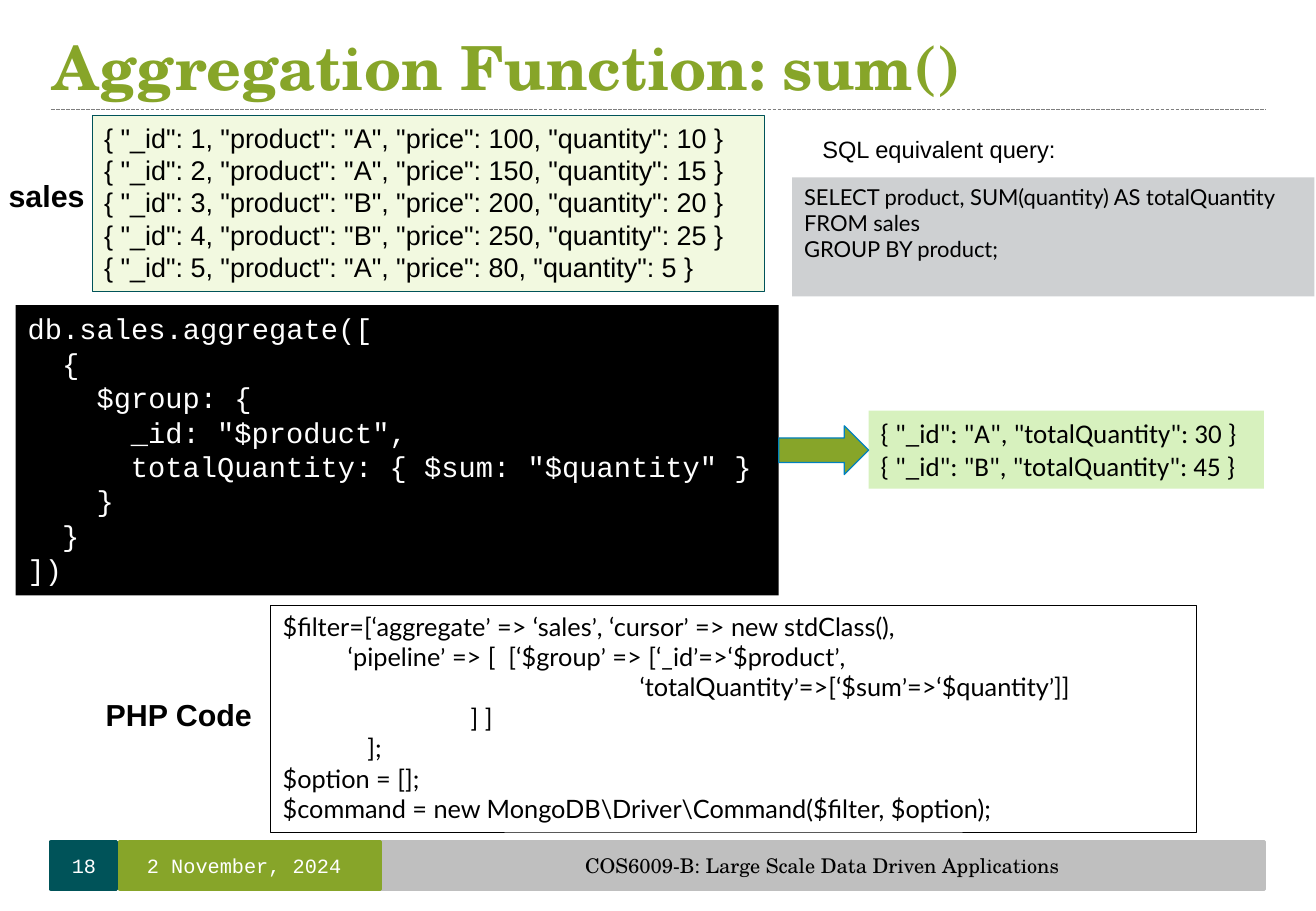
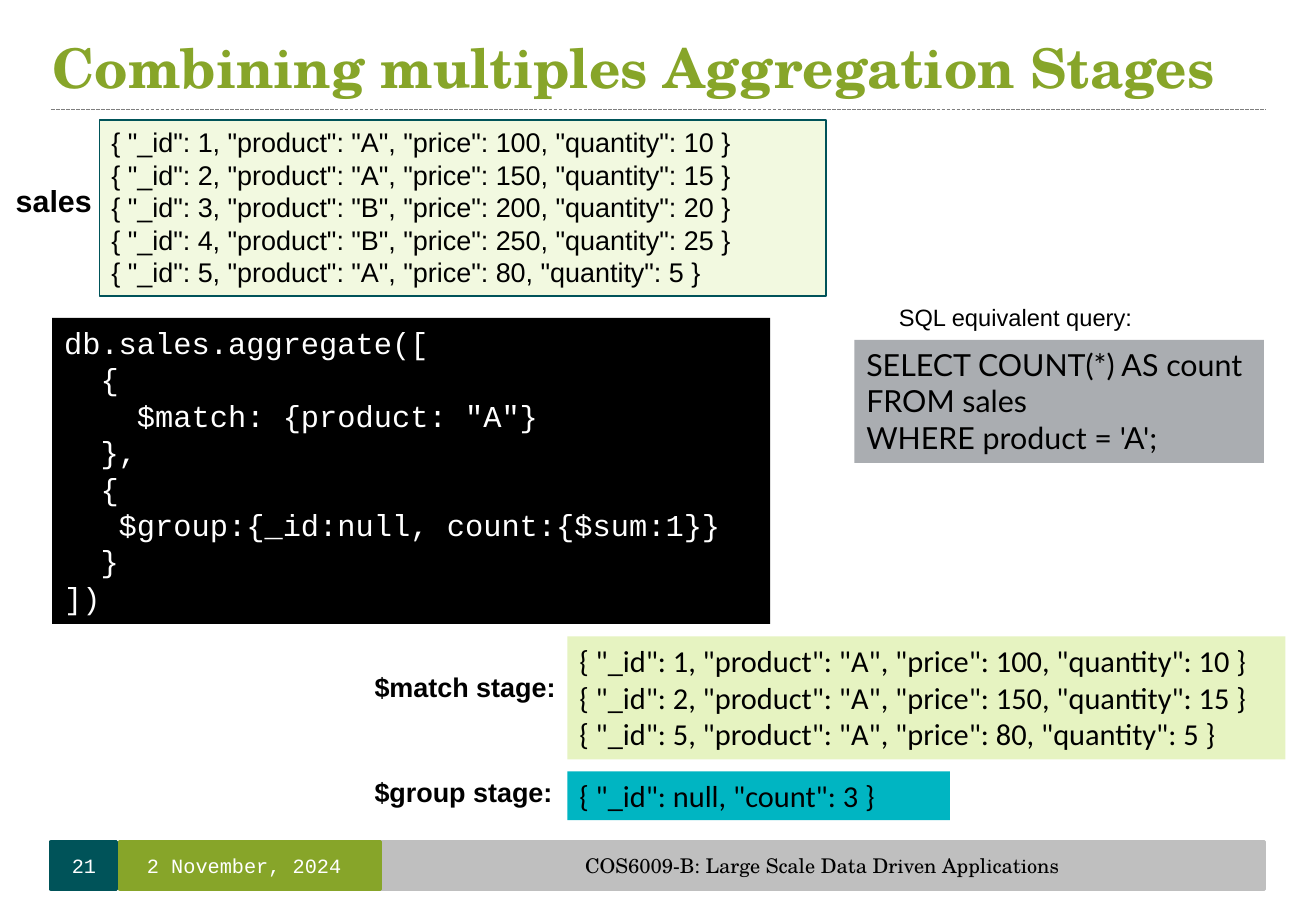
import pptx
import pptx.dml.color
import pptx.enum.dml
import pptx.enum.shapes
import pptx.enum.text
import pptx.oxml.ns
import pptx.util
from lxml import etree

Cm, Pt = pptx.util.Cm, pptx.util.Pt
SHAPE = pptx.enum.shapes.MSO_SHAPE
ANCHOR = pptx.enum.text.MSO_ANCHOR
ALIGN = pptx.enum.text.PP_ALIGN

HUES = {
    "green": "87A529", "teal": "005359", "grey": "BFBFBF", "rule": "7F7F7F",
    "black": "000000", "white": "FFFFFF", "cream": "F2F9E0", "mint": "D7F1BE",
    "lime": "E6F3C1", "cyan": "00B5C2", "blue": "0081BE",
    "silver": "CED0D2", "steel": "AAADB1",
}
SERIF, SANS, MONO = "TeX Gyre Schola", "Arial", "Courier New"

SALES = [
    '{ "_id": 1, "product": "A", "price": 100, "quantity": 10 }',
    '{ "_id": 2, "product": "A", "price": 150, "quantity": 15 }',
    '{ "_id": 3, "product": "B", "price": 200, "quantity": 20 }',
    '{ "_id": 4, "product": "B", "price": 250, "quantity": 25 }',
    '{ "_id": 5, "product": "A", "price": 80, "quantity": 5 }',
]


def hue(name):
    return pptx.dml.color.RGBColor.from_string(HUES[name])


def paint(shape, fill=None, line=None, width=0.75):
    """Set fill and outline; None leaves either one empty."""
    shape.shadow.inherit = False
    if fill:
        shape.fill.solid()
        shape.fill.fore_color.rgb = hue(fill)
    else:
        shape.fill.background()
    if line:
        shape.line.color.rgb = hue(line)
        shape.line.width = Pt(width)
    else:
        shape.line.fill.background()


def write(shape, lines, size, font, color="black", bold=False,
          align=ALIGN.LEFT, step=1, quote=None):
    """Write lines; a line may be (indent, text), with step cm per indent.
    With quote, closing quotes take that size."""
    frame = shape.text_frame
    frame.word_wrap = True
    frame.vertical_anchor = ANCHOR.TOP
    for i, line in enumerate(lines):
        indent, text = line if isinstance(line, tuple) else (0, line)
        para = frame.add_paragraph() if i else frame.paragraphs[0]
        para.alignment = align
        para.font.size, para.font.name = Pt(size), font
        para.font.bold, para.font.color.rgb = bold, hue(color)
        if indent:
            props = para._p.get_or_add_pPr()
            props.set("marL", str(Cm(indent * step)))
            props.set("indent", "0")
        if not quote or "’" not in text:
            para.add_run().text = text
            continue
        for j, part in enumerate(text.split("’")):
            if j:
                mark = para.add_run()
                mark.text, mark.font.size = "’", Pt(quote)
            para.add_run().text = part


def panel(slide, box, fill=None, line=None, width=0.75, kind=SHAPE.RECTANGLE):
    shape = slide.shapes.add_shape(kind, *map(Cm, box))
    paint(shape, fill, line, width)
    return shape


def label(slide, box, text, size=18, bold=True, font=SANS, color="black"):
    shape = slide.shapes.add_textbox(*map(Cm, box))
    write(shape, [text], size, font, color, bold)
    return shape


def centre(shape):
    frame = shape.text_frame
    frame.margin_left = frame.margin_right = 0
    frame.margin_top = frame.margin_bottom = 0
    frame.vertical_anchor = ANCHOR.MIDDLE


def base(deck, title, size, wide, page):
    """Slide with title, dashed rule and footer bar."""
    slide = deck.slides.add_slide(deck.slide_layouts[6])
    # Footer
    for left, width, fill, text, font, color in (
        (1.07, 1.37, "teal", page, MONO, "white"),
        (7.95, 18.49, "grey", "COS6009-B: Large Scale Data Driven Applications",
         SERIF, "black"),
        (2.51, 5.44, "green", "2 November, 2024", MONO, "white"),
    ):
        bar = panel(slide, (left, 17.6, width, 1), fill, fill, 2)
        write(bar, [text], 12, font, color, align=ALIGN.CENTER)
        centre(bar)
        if fill == "green":
            bar.text_frame.margin_right = Cm(0.25)
    # Rule under the title
    rule = slide.shapes.add_connector(
        pptx.enum.shapes.MSO_CONNECTOR.STRAIGHT,
        Cm(1.07), Cm(2.29), Cm(26.47), Cm(2.29))
    rule.line.color.rgb, rule.line.width = hue("rule"), Pt(0.75)
    rule.line.dash_style = pptx.enum.dml.MSO_LINE.SQUARE_DOT
    etree.SubElement(rule._element.spPr, pptx.oxml.ns.qn("a:effectLst"))
    # Title
    centre(label(slide, (1.09, 0.33, wide, 2.13), title, size,
                 font=SERIF, color="green"))
    return slide


def sales(slide, x, y, w):
    """Source documents with their collection name."""
    box = panel(slide, (x, y, w, 3.68), "cream", "teal")
    write(box, SALES, 16, SANS)
    label(slide, (x - 2, y + 1.17, 2.36, 1.02), "sales")


def shell(slide, box, lines, size):
    """Black console; indents count characters."""
    pane = panel(slide, box, "black")
    write(pane, lines, size, MONO, "white", step=0.6 * size / 72 * 2.54)
    return pane


def query(slide, box, lines, size, fill, shift):
    """SQL panel with its heading, shifted from the top left corner."""
    write(panel(slide, box, fill), lines, size, "Lato")
    label(slide, (box[0] + shift[0], box[1] + shift[1], 5.7, 0.86),
          "SQL equivalent query:", 14, False)


def stage(slide, box, name, lines, fill, drop):
    """Result of one pipeline stage, named on its left."""
    write(panel(slide, box, fill), lines, 18, "Calibri")
    label(slide, (box[0] - 4.28, box[1] + drop, 4.57, 0.94), name, 16)


def php(slide, x, y, w, h):
    """PHP listing; indents in cm."""
    write(panel(slide, (x, y, w, h), None, "black", 0.25), [
        "$filter=[‘aggregate’ => ‘sales’, ‘cursor’ => new stdClass(),",
        (1.36, "‘pipeline’ => [  [‘$group’ => [‘_id’=>‘$product’,"),
        (7.46, "‘totalQuantity’=>[‘$sum’=>‘$quantity’]]"),
        (3.93, "] ]"),
        (1.77, "];"),
        "$option = [];",
        "$command = new MongoDB\\Driver\\Command($filter, $option);",
    ], 15, "Lato", quote=14)
    label(slide, (x - 3.7, y + 1.78, 4.6, 1.02), "PHP Code")


def total(deck):
    slide = base(deck, "Aggregation Function: sum()", 36, 23.55, "18")
    sales(slide, 1.93, 2.41, 14.05)
    code = shell(slide, (0.33, 6.38, 15.95, 6.07), [
        "db.sales.aggregate([",
        (2, "{"),
        (4, "$group: {"),
        (6, '_id: "$product",'),
        (6, 'totalQuantity: { $sum: "$quantity" }'),
        (4, "}"),
        (2, "}"),
        "])",
    ], 17)
    # Result and the arrow to it
    out = panel(slide, (18.16, 8.59, 8.26, 1.63), "mint")
    write(out, ['{ "_id": "A", "totalQuantity": 30 }',
                '{ "_id": "B", "totalQuantity": 45 }'], 16, "Calibri")
    start = (code.left + code.width) / Cm(1)
    middle = (out.top + out.height / 2) / Cm(1)
    panel(slide, (start, middle - 0.5, out.left / Cm(1) - start, 1.02),
          "green", "blue", kind=SHAPE.RIGHT_ARROW)
    php(slide, 5.66, 12.65, 19.35, 4.75)
    query(slide, (16.56, 3.71, 10.92, 2.49), [
        "SELECT product, SUM(quantity) AS totalQuantity",
        "FROM sales",
        "GROUP BY product;",
    ], 13, "silver", (0.38, -1.02))


def chain(deck):
    slide = base(deck, "Combining multiples Aggregation Stages", 32.4, 26.26, "21")
    sales(slide, 2.08, 2.51, 15.19)
    shell(slide, (1.09, 6.65, 15.01, 6.4), [
        "db.sales.aggregate([",
        (2, "{"),
        (4, '$match: {product: "A"}'),
        (2, "},"),
        (2, "{"),
        (3, "$group:{_id:null, count:{$sum:1}}"),
        (2, "}"),
        "])",
    ], 18)
    query(slide, (17.86, 7.11, 8.56, 2.57), [
        "SELECT COUNT(*) AS count",
        "FROM sales",
        "WHERE product = 'A';",
    ], 18, "steel", (0.68, -0.91))
    # Stage results
    stage(slide, (11.86, 13.31, 15.01, 2.57), "$match stage:",
          [row for row in SALES if '"A"' in row], "lime", 0.58)
    stage(slide, (11.86, 16.13, 8, 1.02), "$group stage:",
          ['{ "_id": null, "count": 3 }'], "cyan", -0.03)


def main():
    deck = pptx.Presentation()
    deck.slide_width, deck.slide_height = Cm(27.51), Cm(19.05)
    total(deck)
    chain(deck)
    deck.save("out.pptx")


if __name__ == "__main__":
    main()
